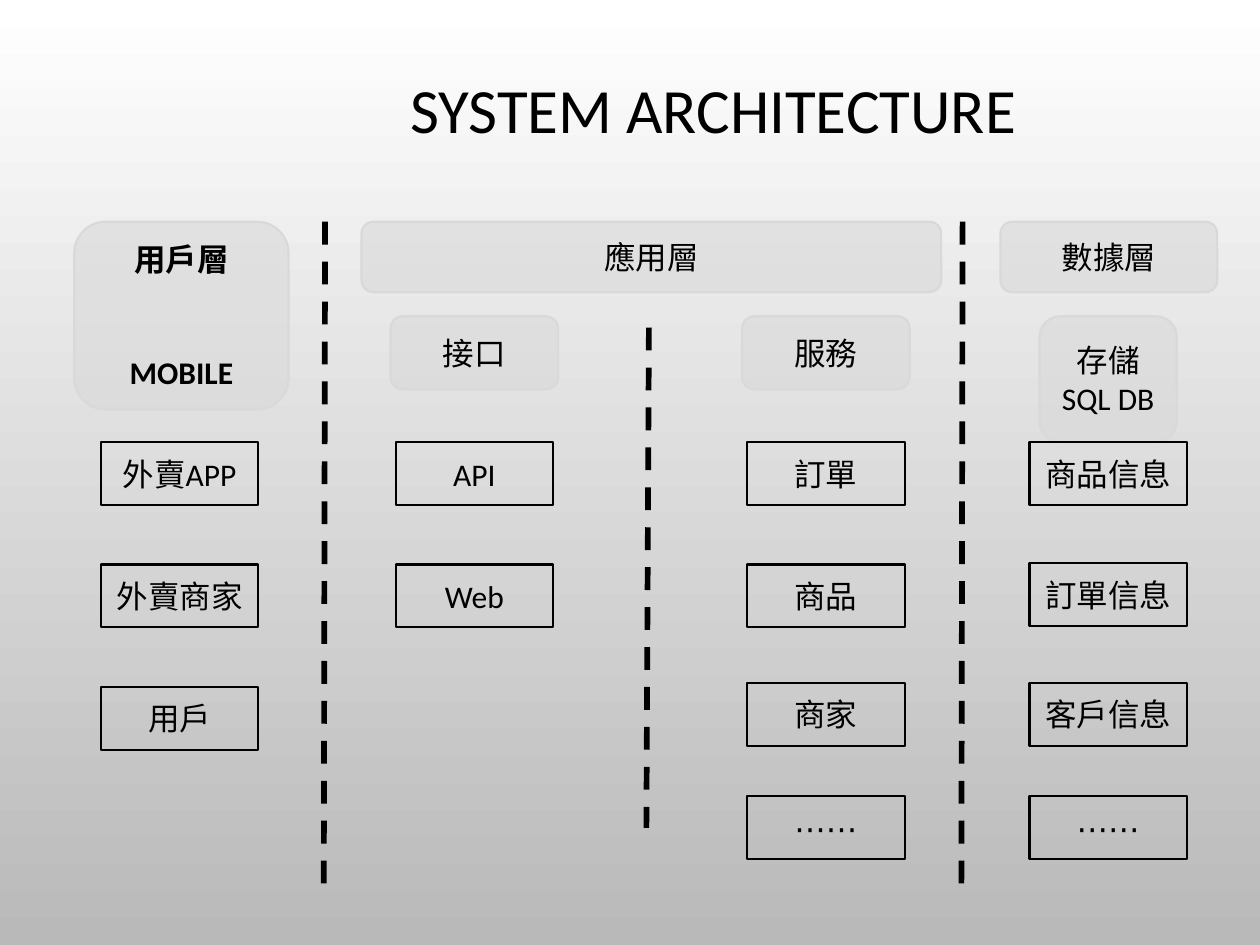
from pptx import Presentation
from pptx.dml.color import RGBColor
from pptx.enum.dml import MSO_LINE
from pptx.enum.shapes import MSO_CONNECTOR as Conn, MSO_SHAPE as Shape
from pptx.enum.text import MSO_ANCHOR as Anchor, PP_ALIGN as Align
from pptx.oxml.ns import qn
from pptx.util import Inches, Pt
from lxml.etree import SubElement

BLACK = RGBColor(0x00, 0x00, 0x00)
WHITE = RGBColor(0xFF, 0xFF, 0xFF)
GRAY = RGBColor(0xD9, 0xD9, 0xD9)
DARK = RGBColor(0xB9, 0xB9, 0xB9)
FONT = "Calibri"


def write(shape, lines, size=18, bold=False, gap=0):
    """Centre the lines in the shape, with a gap in points between them."""
    frame = shape.text_frame
    frame.word_wrap = True
    frame.vertical_anchor = Anchor.MIDDLE
    for i, line in enumerate(lines):
        para = frame.add_paragraph() if i else frame.paragraphs[0]
        para.alignment = Align.CENTER
        if i and gap:
            para.space_before = Pt(gap)
        run = para.add_run()
        run.text = line
        font = run.font
        font.name, font.size, font.bold = FONT, Pt(size), bold
        font.color.rgb = BLACK


def block(slide, kind, box, color):
    shape = slide.shapes.add_shape(kind, *map(Inches, box))
    shape.shadow.inherit = False
    shape.line.color.rgb = color
    shape.line.width = Pt(1.25)
    return shape


def head(slide, box, lines, **style):
    """Rounded, see-through heading."""
    shape = block(slide, Shape.ROUNDED_RECTANGLE, box, GRAY)
    shape.fill.solid()
    shape.fill.fore_color.rgb = GRAY
    color = shape.fill._xPr.find(qn("a:solidFill"))[0]
    SubElement(color, qn("a:alpha"), val="60000")
    write(shape, lines, **style)


def stack(slide, left, tops, names):
    """Column of outlined boxes."""
    for top, name in zip(tops, names):
        shape = block(slide, Shape.RECTANGLE, (left, top, 1.25, 0.5), BLACK)
        shape.fill.background()
        write(shape, [name])


def divide(slide, left, top, high, lean=0.01):
    """Dashed line between layers."""
    ends = (left, top, left - lean, top + high)
    line = slide.shapes.add_connector(Conn.STRAIGHT, *map(Inches, ends))
    line.line.color.rgb = BLACK
    line.line.width = Pt(3.25)
    line.line.dash_style = MSO_LINE.DASH
    SubElement(line._element.spPr, qn("a:effectLst"))


def user_layer(slide, left, top):
    head(slide, (left, top, 1.7, 1.49), ["用戶層", "MOBILE"],
         bold=True, gap=43)
    tops = [top + 1.75 + 0.97 * i for i in range(3)]
    stack(slide, left + 0.21, tops, ["外賣APP", "外賣商家", "用戶"])


def app_layer(slide, left, top):
    head(slide, (left, top, 4.6, 0.56), ["應用層"])
    tops = [top + y for y in (1.75, 2.72, 3.66, 4.56)]
    parts = [(0.23, "接口", ["API", "Web"]),
             (3.02, "服務", ["訂單", "商品", "商家", "⋯⋯"])]
    for x, name, items in parts:
        head(slide, (left + x, top + 0.75, 1.33, 0.58), [name])
        stack(slide, left + x + 0.04, tops, items)
    divide(slide, left + 2.28, top + 0.84, 3.97, 0.02)


def data_layer(slide, left, top):
    head(slide, (left, top, 1.72, 0.56), ["數據層"])
    head(slide, (left + 0.31, top + 0.75, 1.09, 1), ["存儲", "SQL DB"])
    tops = [top + y for y in (1.75, 2.71, 3.66, 4.56)]
    stack(slide, left + 0.23, tops,
          ["商品信息", "訂單信息", "客戶信息", "⋯⋯"])


def title(slide, box):
    shape = slide.shapes.add_textbox(*map(Inches, box))
    write(shape, ["SYSTEM ARCHITECTURE"], size=36)
    shape.text_frame.paragraphs[0].line_spacing = 0.9


def backdrop(slide):
    fill = slide.background.fill
    fill.gradient()
    fill.gradient_angle = 270
    for stop, color in zip(fill.gradient_stops, (WHITE, DARK)):
        stop.color.rgb = color


def main():
    deck = Presentation()
    deck.slide_width, deck.slide_height = Inches(10), Inches(7.5)
    slide = deck.slides.add_slide(deck.slide_layouts[6])
    backdrop(slide)
    title(slide, (1.41, 0.02, 8.5, 1.75))
    top = 1.76
    for left in (2.58, 7.64):
        divide(slide, left, top, 5.34)
    user_layer(slide, 0.59, top)
    app_layer(slide, 2.87, top)
    data_layer(slide, 7.94, top)
    deck.save("out.pptx")


if __name__ == "__main__":
    main()
